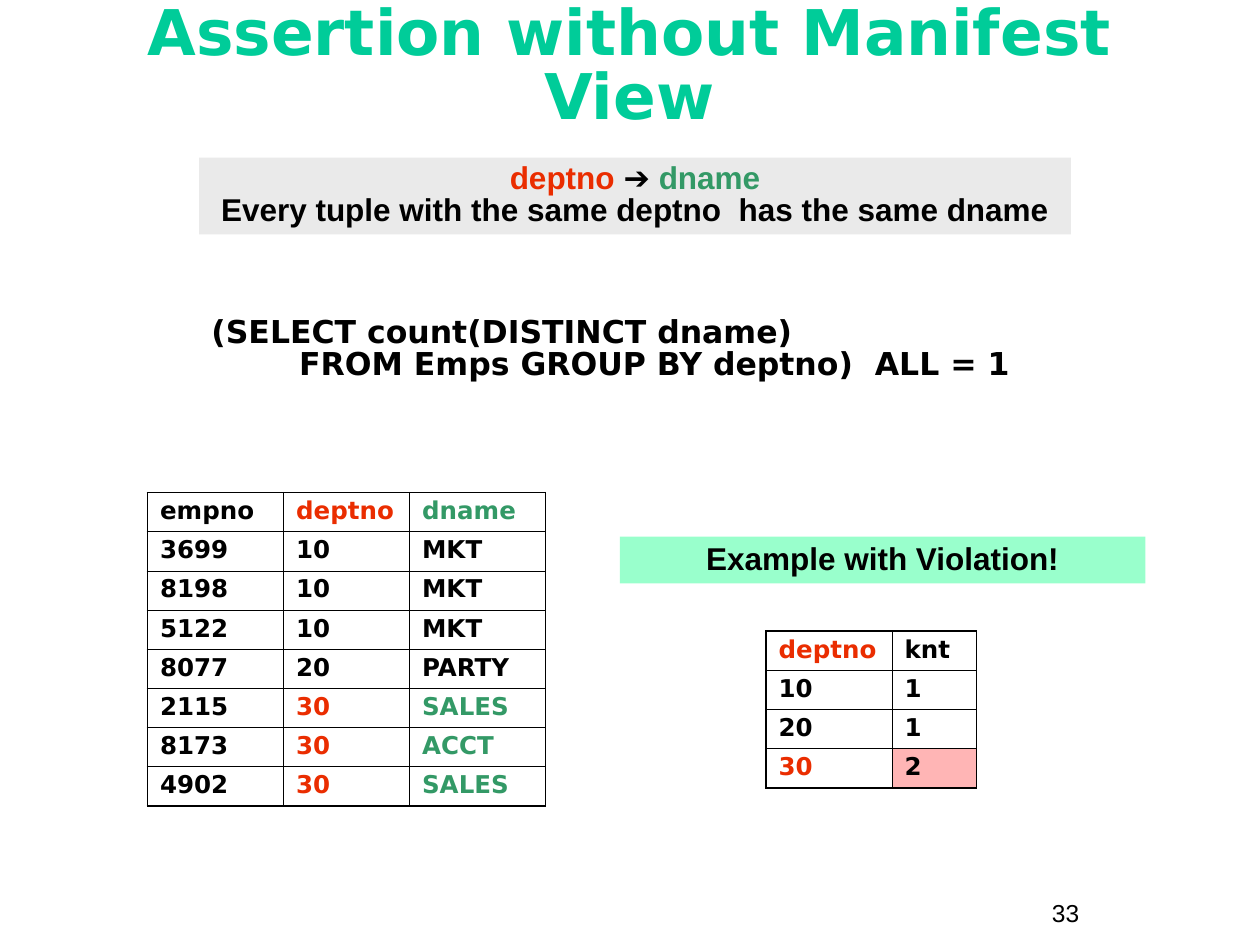
from lxml import etree
from pptx import Presentation
from pptx import util as u
from pptx.dml import color
from pptx.enum import shapes, text
from pptx.oxml import ns

HUES = {
    "title": "00CC99", "ink": "000000", "red": "EA2D00", "green": "339966",
    "grey": "EAEAEA", "mint": "99FFCC", "pink": "FFB5B5",
}
SANS, DEJA = "Arial", "DejaVu Sans"
ROW = 0.31
THICK, THIN = 1.08, 0.45

STAFF = [
    ["empno", "deptno", "dname"],
    ["3699", "10", "MKT"],
    ["8198", "10", "MKT"],
    ["5122", "10", "MKT"],
    ["8077", "20", "PARTY"],
    ["2115", "30", "SALES"],
    ["8173", "30", "ACCT"],
    ["4902", "30", "SALES"],
]
COUNTS = [["deptno", "knt"], ["10", "1"], ["20", "1"], ["30", "2"]]
QUERY = "(SELECT count(DISTINCT dname)\v        FROM Emps GROUP BY deptno)  ALL = 1"


def rgb(hue):
    return color.RGBColor.from_string(HUES[hue])


def style(run, size, face, hue="ink", bold=True):
    font = run.font
    font.size = u.Pt(size)
    font.name = face
    font.bold = bold
    font.color.rgb = rgb(hue)


def box(at):
    return [u.Inches(n) for n in at]


def add_title(slide, words):
    title = slide.shapes.title
    title.left, title.top, title.width, title.height = box((0.33, 0.08, 9.33, 0.92))
    frame = title.text_frame
    frame.text = words
    frame.auto_size = text.MSO_AUTO_SIZE.NONE
    frame.vertical_anchor = text.MSO_ANCHOR.MIDDLE
    para = frame.paragraphs[0]
    para.alignment = text.PP_ALIGN.CENTER
    para.line_spacing = 0.85
    style(para.runs[0], 36, DEJA, "title")


def add_text(slide, at, words, size, face, bold=True, space=1.0):
    frame = slide.shapes.add_textbox(*box(at)).text_frame
    frame.word_wrap = True
    frame.text = words
    para = frame.paragraphs[0]
    para.line_spacing = space
    for run in para.runs:
        style(run, size, face, bold=bold)


def add_band(slide, at, fill, lines, space):
    band = slide.shapes.add_shape(shapes.MSO_SHAPE.RECTANGLE, *box(at))
    band.shadow.inherit = False
    band.fill.solid()
    band.fill.fore_color.rgb = rgb(fill)
    band.line.fill.background()
    frame = band.text_frame
    frame.word_wrap = True
    frame.vertical_anchor = text.MSO_ANCHOR.TOP
    para = frame.paragraphs[0]
    para.alignment = text.PP_ALIGN.CENTER
    para.line_spacing = space
    for i, line in enumerate(lines):
        if i:
            para.add_line_break()
        for words, hue in line:
            run = para.add_run()
            run.text = words
            style(run, 18, SANS, hue)


def set_edges(cell, left, right, top, bottom):
    props = cell._tc.get_or_add_tcPr()
    sides = {"a:lnL": left, "a:lnR": right, "a:lnT": top, "a:lnB": bottom}
    for i, (tag, outer) in enumerate(sides.items()):
        edge = etree.Element(ns.qn(tag), w=str(u.Pt(THICK if outer else THIN)))
        fill = etree.SubElement(edge, ns.qn("a:solidFill"))
        etree.SubElement(fill, ns.qn("a:srgbClr"), val=HUES["ink"])
        props.insert(i, edge)


def add_grid(slide, left, top, widths, rows, hues, fills):
    at = box((left, top, sum(widths), ROW * len(rows)))
    table = slide.shapes.add_table(len(rows), len(widths), *at).table
    table.first_row = table.horz_banding = False
    for col, width in zip(table.columns, widths):
        col.width = u.Inches(width)
    for r, row in enumerate(rows):
        table.rows[r].height = u.Inches(ROW)
        for c, words in enumerate(row):
            cell = table.cell(r, c)
            if (r, c) in fills:
                cell.fill.solid()
                cell.fill.fore_color.rgb = rgb(fills[r, c])
            else:
                cell.fill.background()
            set_edges(cell, c == 0, c == len(row) - 1, r == 0, r == len(rows) - 1)
            cell.text_frame.text = words
            para = cell.text_frame.paragraphs[0]
            para.line_spacing = 0.9
            style(para.runs[0], 14, DEJA, hues.get(words, "ink"))


def main():
    deck = Presentation()
    deck.slide_width, deck.slide_height = u.Inches(10), u.Inches(7.5)
    slide = deck.slides.add_slide(deck.slide_layouts[5])

    add_title(slide, "Assertion without Manifest View")
    add_text(slide, (8.25, 7.08, 0.92, 0.34), "33", 14, SANS, bold=False)
    add_text(slide, (1.58, 2.47, 6.83, 0.61), QUERY, 18, DEJA, space=0.85)

    hues = {"deptno": "red", "30": "red"}
    hues.update(dict.fromkeys(["dname", "SALES", "ACCT"], "green"))
    add_grid(slide, 1.17, 3.91, [1.08, 1, 1.08], STAFF, hues, {})
    add_grid(slide, 6.08, 5.01, [1, 0.67], COUNTS, hues, {(3, 1): "pink"})

    add_band(slide, (4.92, 4.26, 4.17, 0.37), "mint",
             [[("Example with Violation!", "ink")]], 0.9)
    rule = [("deptno ", "red"), ("➔ ", "ink"), ("dname", "green")]
    note = [("Every tuple with the same deptno  has the same dname", "ink")]
    add_band(slide, (1.58, 1.25, 6.92, 0.61), "grey", [rule, note], 0.85)

    deck.save("out.pptx")


if __name__ == "__main__":
    main()
